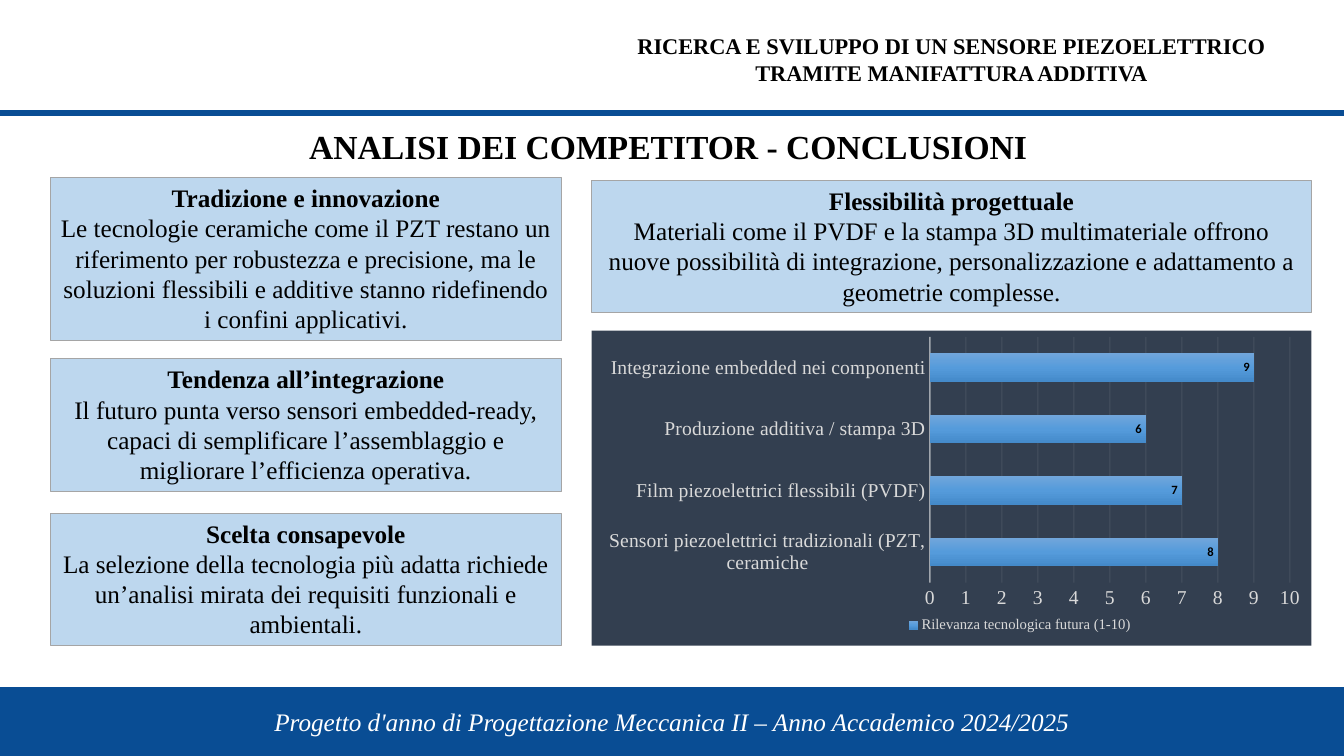
"""Build the slide with the conclusions of the competitor analysis."""
from copy import deepcopy
from dataclasses import dataclass

from lxml.etree import SubElement
from pptx import Presentation
from pptx.chart.data import CategoryChartData
from pptx.dml.color import RGBColor as RGB
from pptx.enum.chart import XL_CHART_TYPE as CHART, XL_LABEL_POSITION as LABEL
from pptx.enum.chart import XL_LEGEND_POSITION as LEGEND, XL_TICK_MARK as TICK
from pptx.enum.shapes import MSO_CONNECTOR as CONN, MSO_SHAPE as SHAPE
from pptx.enum.text import MSO_ANCHOR as ANCHOR, MSO_AUTO_SIZE as AUTO, PP_ALIGN as ALIGN
from pptx.oxml import parse_xml
from pptx.oxml.ns import nsdecls, qn
from pptx.util import Pt


@dataclass(frozen=True)
class Theme:
    """Colours, fonts and type sizes of the slide."""
    serif: str = "Times New Roman"
    sans: str = "Calibri"
    blue: str = "094D94"
    card: str = "BDD7EE"
    border: str = "A5A5A5"
    dark: str = "333F50"
    pale: str = "F2F2F2"
    label: str = "D9D9D9"
    black: str = "000000"
    white: str = "FFFFFF"
    bar: tuple = ((0, "71A6DB"), (0.5, "559BDB"), (1, "448ACA"))
    title: float = 24
    body: float = 18
    header: float = 16
    axis: float = 14
    legend: float = 10.5
    chart: float = 10
    value: float = 9


T = Theme()
W, H = 960, 540
LEFT_X, LEFT_W = 36, 365
RIGHT_X, RIGHT_W = 422.6, 514.2
LEFT_CARDS = [
    (126.7, 116.6, "Tradizione e innovazione",
     "Le tecnologie ceramiche come il PZT restano un riferimento per robustezza e precisione, "
     "ma le soluzioni flessibili e additive stanno ridefinendo i confini applicativi."),
    (256.3, 94.4, "Tendenza all’integrazione",
     "Il futuro punta verso sensori embedded-ready, capaci di semplificare l’assemblaggio "
     "e migliorare l’efficienza operativa."),
    (366.5, 94.4, "Scelta consapevole",
     "La selezione della tecnologia più adatta richiede un’analisi mirata dei requisiti "
     "funzionali e ambientali."),
]
FLEXIBILITY = ("Flessibilità progettuale",
               "Materiali come il PVDF e la stampa 3D multimateriale offrono nuove possibilità "
               "di integrazione, personalizzazione e adattamento a geometrie complesse.")
RELEVANCE = {
    "Sensori piezoelettrici tradizionali (PZT, ceramiche": 8,
    "Film piezoelettrici flessibili (PVDF)": 7,
    "Produzione additiva / stampa 3D": 6,
    "Integrazione embedded nei componenti": 9,
}


def style(font, size, color, name=T.serif, bold=False, italic=False):
    """Format a font."""
    font.name, font.size, font.bold, font.italic = name, Pt(size), bold, italic
    font.color.rgb = RGB.from_string(color)


def write(p, text, size, color=T.black, align=ALIGN.CENTER, **kw):
    """Put formatted text in a paragraph."""
    p.text, p.alignment = text, align
    style(p.font, size, color, **kw)


def add_rect(slide, box, fill, line, width):
    """Add a filled rectangle and return it."""
    sp = slide.shapes.add_shape(SHAPE.RECTANGLE, *map(Pt, box))
    sp.shadow.inherit = False
    sp.fill.solid()
    sp.fill.fore_color.rgb = RGB.from_string(fill)
    sp.line.color.rgb = RGB.from_string(line)
    sp.line.width = Pt(width)
    sp.text_frame.word_wrap = True
    return sp


def add_header(slide, box):
    """Add the project name and the rule that closes the header."""
    x, y, w, h = box
    tb = slide.shapes.add_textbox(Pt(RIGHT_X), Pt(y + 19.4), Pt(RIGHT_W), Pt(46))
    tf = tb.text_frame
    tf.word_wrap, tf.auto_size = True, AUTO.SHAPE_TO_FIT_TEXT
    write(tf.paragraphs[0], "RICERCA E SVILUPPO DI UN SENSORE PIEZOELETTRICO "
          "TRAMITE MANIFATTURA ADDITIVA", T.header, bold=True)
    rule = slide.shapes.add_connector(CONN.STRAIGHT, Pt(x), Pt(y + h), Pt(x + w), Pt(y + h))
    rule.line.color.rgb = RGB.from_string(T.blue)
    rule.line.width = Pt(4)
    SubElement(rule._element.spPr, qn("a:effectLst"))


def set_title(slide, box):
    """Place and format the title placeholder."""
    sp = slide.shapes.title
    sp.left, sp.top, sp.width, sp.height = map(Pt, box)
    tf = sp.text_frame
    write(tf.paragraphs[0], "ANALISI DEI COMPETITOR - CONCLUSIONI", T.title,
          align=ALIGN.LEFT, bold=True)
    tf.word_wrap, tf.auto_size = False, AUTO.SHAPE_TO_FIT_TEXT
    tf.vertical_anchor = ANCHOR.TOP


def add_card(slide, box, heading, body):
    """Add a light card with a bold heading over its text."""
    tf = add_rect(slide, box, T.card, T.border, 0.5).text_frame
    tf.vertical_anchor, tf.auto_size = ANCHOR.TOP, AUTO.SHAPE_TO_FIT_TEXT
    write(tf.paragraphs[0], heading, T.body, bold=True)
    write(tf.add_paragraph(), body, T.body)


def fade(line, width, opacity):
    """Draw a pale line with the given opacity in percent."""
    line.color.rgb = RGB.from_string(T.pale)
    line.width = Pt(width)
    clr = line._get_or_add_ln().find(".//" + qn("a:srgbClr"))
    SubElement(clr, qn("a:alpha"), val=str(opacity * 1000))


def set_layout(parent, index, inner, **fractions):
    """Fix a chart part at fractions of the chart area."""
    old = parent.find(qn("c:layout"))
    if old is not None:
        parent.remove(old)
    target = '<c:layoutTarget val="inner"/>' if inner else ""
    modes = '<c:xMode val="edge"/><c:yMode val="edge"/>'
    places = "".join(f'<c:{k} val="{v}"/>' for k, v in fractions.items())
    parent.insert(index, parse_xml(
        f'<c:layout {nsdecls("c")}><c:manualLayout>{target}{modes}{places}'
        "</c:manualLayout></c:layout>"))


def style_bars(plot):
    """Give the bars their gradient, spacing and value labels."""
    plot.gap_width, plot.overlap, plot.vary_by_categories = 115, -20, False
    series = plot.series[0]
    fill = series.format.fill
    fill.gradient()
    fill.gradient_angle = 270
    stops = series._element.find(".//" + qn("a:gsLst"))
    stops.append(deepcopy(stops[0]))
    for stop, (position, color) in zip(fill.gradient_stops, T.bar):
        stop.position = position
        stop.color.rgb = RGB.from_string(color)
    labels = series.data_labels
    labels.show_value, labels.position = True, LABEL.INSIDE_END
    style(labels.font, T.value, T.black, name=T.sans, bold=True)


def add_relevance_chart(slide, box):
    """Add the bar chart of future relevance on a dark ground."""
    data = CategoryChartData()
    data.categories = list(RELEVANCE)
    data.add_series("Rilevanza tecnologica futura (1-10)", list(RELEVANCE.values()))
    chart = slide.shapes.add_chart(CHART.BAR_CLUSTERED, *map(Pt, box), data).chart
    chart.has_title = False
    style(chart.font, T.chart, T.black, name=T.sans)
    space = chart._chartSpace
    space.find(qn("c:chart")).addnext(parse_xml(
        f'<c:spPr {nsdecls("c", "a")}><a:solidFill><a:srgbClr val="{T.dark}"/></a:solidFill>'
        "<a:ln><a:noFill/></a:ln></c:spPr>"))
    style_bars(chart.plots[0])
    cat, val = chart.category_axis, chart.value_axis
    for axis in (cat, val):
        axis.major_tick_mark = axis.minor_tick_mark = TICK.NONE
        style(axis.tick_labels.font, T.axis, T.label)
    fade(cat.format.line, 1, 54)
    val.minimum_scale, val.maximum_scale, val.major_unit = 0, 10, 1
    val.format.line.fill.background()
    val.has_major_gridlines = True
    fade(val.major_gridlines.format.line, 0.75, 10)
    chart.has_legend = True
    legend = chart.legend
    legend.position, legend.include_in_layout = LEGEND.BOTTOM, False
    style(legend.font, T.legend, T.label)
    set_layout(space.find(".//" + qn("c:plotArea")), 0, True, x=0.47, y=0.02, w=0.5, h=0.78)
    set_layout(legend._element, 1, False, x=0.43, y=0.89, w=0.33, h=0.09)


def add_footer(slide, box):
    """Add the blue band with the course name."""
    tf = add_rect(slide, box, T.blue, T.blue, 1).text_frame
    tf.vertical_anchor = ANCHOR.MIDDLE
    write(tf.paragraphs[0], "Progetto d'anno di Progettazione Meccanica II – "
          "Anno Accademico 2024/2025", T.body, T.white, italic=True)


def main():
    """Build and save the presentation."""
    prs = Presentation()
    prs.slide_width, prs.slide_height = Pt(W), Pt(H)
    slide = prs.slides.add_slide(prs.slide_layouts[5])
    add_header(slide, (0, 0, W, 80.8))
    set_title(slide, (213.6, 86, 532.8, 36))
    for top, height, heading, body in LEFT_CARDS:
        add_card(slide, (LEFT_X, top, LEFT_W, height), heading, body)
    add_card(slide, (RIGHT_X, 128.8, RIGHT_W, 94.4), *FLEXIBILITY)
    add_relevance_chart(slide, (RIGHT_X, 236.2, RIGHT_W, 225))
    add_footer(slide, (0, 491, W, 49))
    prs.save("out.pptx")


if __name__ == "__main__":
    main()
